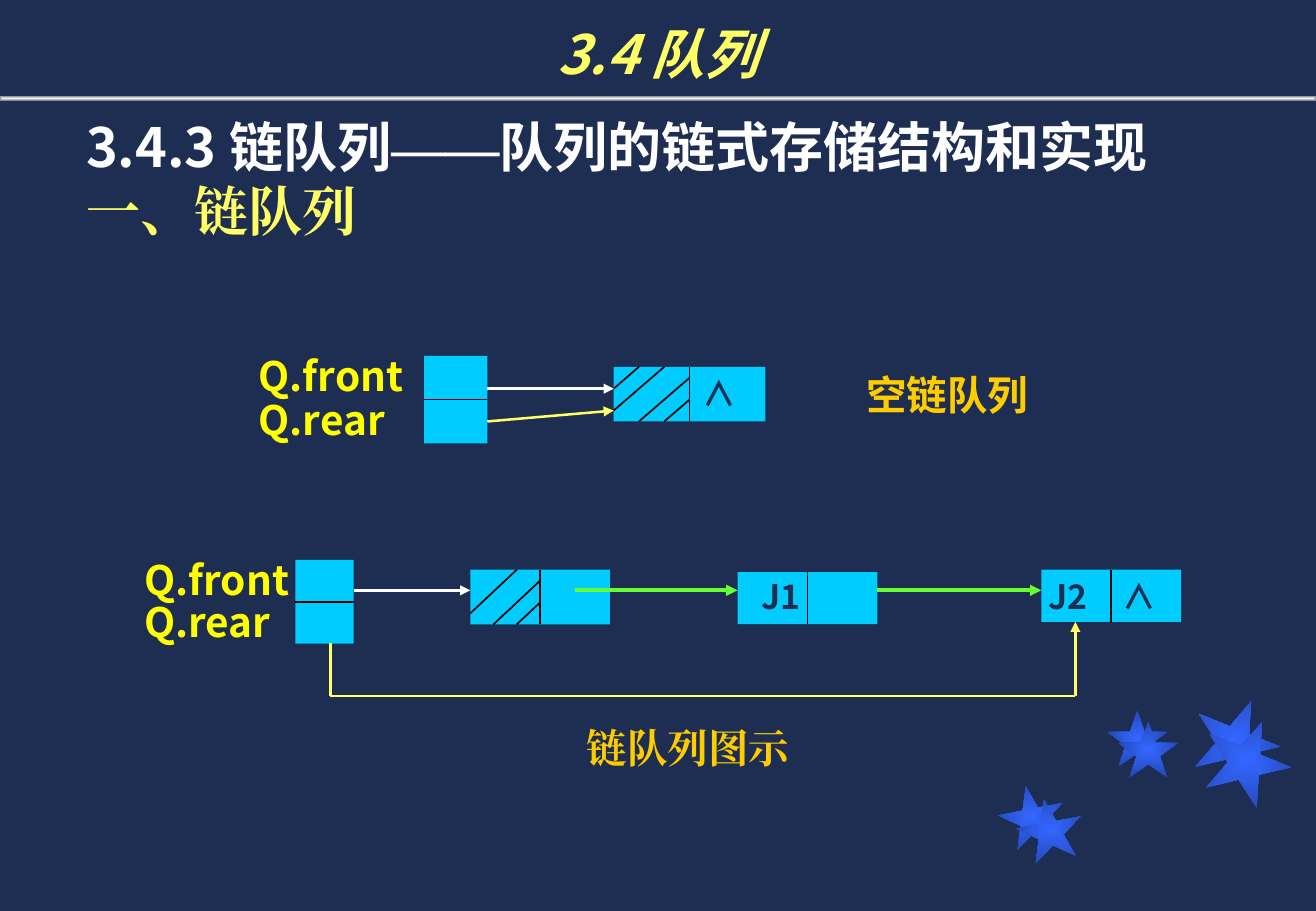
from lxml.etree import SubElement
from pptx import Presentation
from pptx.dml.color import RGBColor as RGB
from pptx.enum.shapes import MSO_CONNECTOR as Conn, MSO_SHAPE as Kind
from pptx.enum.text import MSO_ANCHOR as Anchor, MSO_AUTO_SIZE as Fit, PP_ALIGN as Align
from pptx.oxml.ns import qn
from pptx.util import Inches, Pt

SANS, SERIF = "Noto Sans CJK SC", "Times New Roman"
HUES = {
    "navy": "1E2E53", "cyan": "00CCFF", "black": "000000", "white": "FFFFFF",
    "pale": "FFFF66", "yellow": "FFFF00", "gold": "FFCC00", "green": "66FF33",
    "blue": "3366FF", "deep": "2449B6", "light": "F2F2F2", "grey": "808080",
}


def hue(name):
    return RGB.from_string(HUES[name])


class Page:
    """Style and drawing methods for one slide."""

    def __init__(self, deck):
        self.slide = deck.slides.add_slide(deck.slide_layouts[5])
        self.shapes = self.slide.shapes
        back = self.slide.background.fill
        back.solid()
        back.fore_color.rgb = hue("navy")

    def style(self, run, size, color, font=SANS, italic=False):
        run.font.size, run.font.bold, run.font.italic = Pt(size), True, italic
        run.font.name = font
        run.font.color.rgb = hue(color)
        SubElement(run.font._element, qn("a:ea")).set("typeface", font)

    def title(self, words, x, y, w, h):
        box = self.shapes.title
        box.left, box.top, box.width, box.height = map(Inches, (x, y, w, h))
        frame = box.text_frame
        frame.text = words
        frame.auto_size, frame.vertical_anchor = Fit.NONE, Anchor.BOTTOM
        para = frame.paragraphs[0]
        para.alignment = Align.CENTER
        self.style(para.runs[0], 32, "pale", italic=True)

    def text(self, x, y, w, h, size, *paras):
        """Each paragraph is a list of (words, colour, font)."""
        frame = self.shapes.add_textbox(*map(Inches, (x, y, w, h))).text_frame
        frame.word_wrap, frame.vertical_anchor = True, Anchor.MIDDLE
        for i, parts in enumerate(paras):
            para = frame.add_paragraph() if i else frame.paragraphs[0]
            for words, color, font in parts:
                run = para.add_run()
                run.text = words
                self.style(run, size, color, font)

    def shape(self, kind, x, y, w, h, turn=0):
        item = self.shapes.add_shape(kind, *map(Inches, (x, y, w, h)))
        item.shadow.inherit = False
        item.line.fill.background()
        item.rotation = turn
        return item

    def rect(self, x, y, w, h):
        fill = self.shape(Kind.RECTANGLE, x, y, w, h).fill
        fill.solid()
        fill.fore_color.rgb = hue("cyan")

    def glow(self, item, inner, outer):
        """Gradient that runs from the centre to the outline."""
        item.fill.gradient()
        for stop, name, place in zip(item.fill.gradient_stops, (inner, outer), (0, 1)):
            stop.color.rgb, stop.position = hue(name), place
        grad = item._element.spPr.find(qn("a:gradFill"))
        grad.remove(grad.find(qn("a:lin")))
        way = SubElement(grad, qn("a:path"))
        way.set("path", "shape")
        rim = SubElement(way, qn("a:fillToRect"))
        for side in "ltrb":
            rim.set(side, "50000")

    def line(self, x1, y1, x2, y2, color="black", width=1, arrow=False):
        item = self.shapes.add_connector(Conn.STRAIGHT, *map(Inches, (x1, y1, x2, y2)))
        item.line.color.rgb, item.line.width = hue(color), Pt(width)
        if arrow:
            SubElement(item.line._get_or_add_ln(), qn("a:tailEnd")).set("type", "triangle")
        SubElement(item._element.spPr, qn("a:effectLst"))

    def node(self, x, y, w, h, hatch=()):
        """Two-field node; hatch lines are fractions of its size."""
        self.rect(x, y, w, h)
        for a, b, c, d in [(0.5, 0, 0.5, 1), *hatch]:
            self.line(x + a * w, y + b * h, x + c * w, y + d * h)

    def queue(self, x, y, w, h, label):
        """Front and rear pointers with their labels."""
        self.rect(x, y, w, h)
        self.line(x, y + h / 2, x + w, y + h / 2)
        for i, words in enumerate(("Q.front", "Q.rear")):
            self.text(x - label + 0.1, y - 0.09 + i * h / 2, label, 0.5, 24,
                      [(words, "yellow", SANS)])


def main():
    deck = Presentation()
    deck.slide_width, deck.slide_height = Inches(10.83), Inches(7.5)
    page = Page(deck)

    # Stars and rule
    stars = [
        (8.22, 6.47, 0.54, 0.5, 349), (9.11, 5.85, 0.5, 0.46, 0),
        (9.81, 5.75, 0.72, 0.67, 22), (8.37, 6.58, 0.54, 0.5, 349),
        (9.2, 5.94, 0.5, 0.46, 0), (9.9, 5.92, 0.72, 0.67, 22),
    ]
    for star in stars:
        page.glow(page.shape(Kind.STAR_5_POINT, *star), "blue", "deep")
    page.glow(page.shape(Kind.RECTANGLE, 0, 0.79, 10.83, 0.04), "light", "grey")

    # Title and heading
    page.title("3.4 队列", 0, 0, 10.83, 0.75)
    page.text(0.61, 0.88, 9.61, 1.17, 32,
              [("3.4.3 链队列", "white", SANS), ("——", "white", SERIF),
               ("队列的链式存储结构和实现", "white", SANS)],
              [("一、链队列", "pale", SERIF)])

    # Empty queue
    hatch = [(1 / 3, 0, 0, 0.8), (1 / 2, 0.2, 1 / 6, 1), (1 / 2, 0.6, 1 / 3, 1)]
    page.node(5.05, 3.02, 1.25, 0.45, hatch + [(1 / 6, 0, 0, 0.4)])
    page.queue(3.49, 2.93, 0.52, 0.72, 1.56)
    page.line(4.01, 3.2, 5.05, 3.2, "white", 1.5, True)
    page.line(4.01, 3.47, 5.05, 3.38, "pale", 1.5, True)
    page.text(5.68, 3.02, 0.83, 0.43, 20, [("∧", "navy", SANS)])
    page.text(7.03, 3, 1.77, 0.5, 24, [("空链队列", "gold", SANS)])

    # Queue with two elements
    page.queue(2.43, 4.61, 0.48, 0.69, 1.44)
    page.node(3.87, 4.69, 1.15, 0.45, hatch)
    page.node(6.07, 4.71, 1.15, 0.43)
    page.node(8.57, 4.69, 1.15, 0.43)
    for x, words in ((6.17, "J1"), (8.53, "J2"), (9.14, "∧")):
        page.text(x, 4.69, 0.6, 0.43, 20, [(words, "navy", SANS)])
    page.line(2.91, 4.86, 3.87, 4.86, "white", 1.5, True)
    for start, end in ((4.73, 6.07), (7.22, 8.57)):
        page.line(start, 4.86, end, 4.86, "green", 2.25, True)

    # Rear pointer to the last node
    page.line(2.72, 5.29, 2.72, 5.73, "pale", 1.5)
    page.line(2.72, 5.73, 8.85, 5.73, "pale", 1.5)
    page.line(8.85, 5.73, 8.85, 5.12, "pale", 1.5, True)
    page.text(4.73, 5.9, 2.01, 0.5, 24, [("链队列图示", "gold", SERIF)])

    deck.save("out.pptx")


if __name__ == "__main__":
    main()
